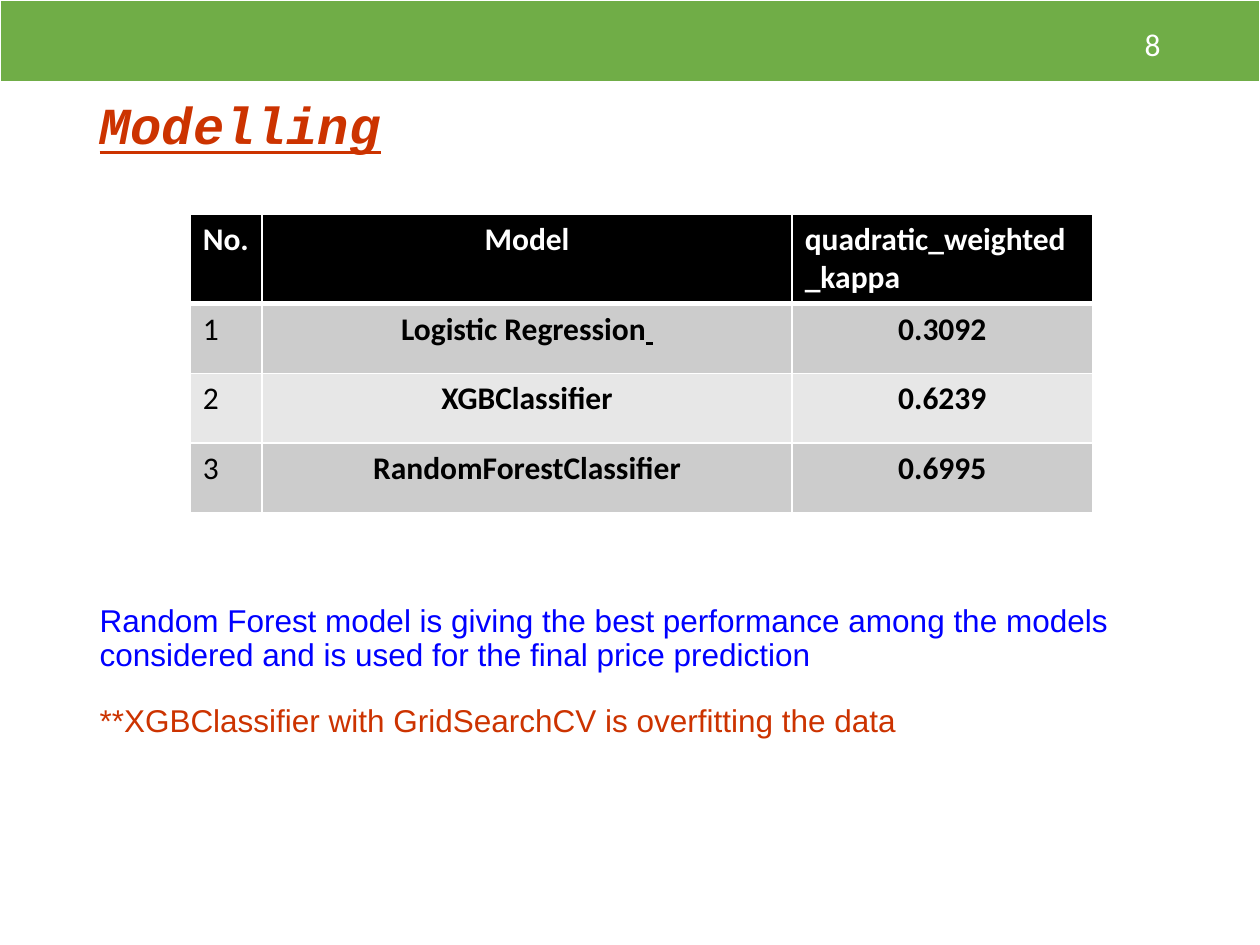
from dataclasses import dataclass

from lxml.etree import SubElement
from pptx import Presentation
from pptx.dml.color import RGBColor
from pptx.enum.shapes import MSO_SHAPE
from pptx.enum.text import MSO_ANCHOR, MSO_AUTO_SIZE, PP_ALIGN
from pptx.oxml.ns import qn
from pptx.util import Pt

COLORS = {
    "band": "70AD47",
    "white": "FFFFFF",
    "black": "000000",
    "accent": "CC3300",
    "finding": "0000FF",
    "odd_row": "CCCCCC",
    "even_row": "E7E7E7",
}


@dataclass(frozen=True)
class Style:
    font: str
    size: float
    color: str
    bold: bool = False
    italic: bool = False
    underline: bool = False


@dataclass(frozen=True)
class Model:
    name: str
    kappa: str
    tail: str = ""  # underlined ending of the name


HEADING = Style("Courier New", 29.7, "accent", True, True, True)
FINDING = Style("Arial", 18, "finding")
CAVEAT = Style("Arial", 18, "accent")
HEADER = Style("Calibri", 18, "white", bold=True)
NUMBER = Style("Calibri", 18, "black")
VALUE = Style("Calibri", 18, "black", bold=True)
VALUE_TAIL = Style("Calibri", 18, "black", bold=True, underline=True)
PAGE = Style("Calibri", 18, "white")

COLUMN_LABELS = ("No.", "Model", "quadratic_weighted_kappa")
COLUMN_WIDTHS = (41, 303, 171.5)
COLUMN_ALIGNS = (PP_ALIGN.LEFT, PP_ALIGN.CENTER, PP_ALIGN.CENTER)
HEADER_ALIGNS = (PP_ALIGN.LEFT, PP_ALIGN.CENTER, PP_ALIGN.LEFT)
HEADER_HEIGHT, ROW_HEIGHT = 44, 39.8
THIN, THICK = 1, 3

MODELS = (
    Model("Logistic Regression", "0.3092", " "),
    Model("XGBClassifier", "0.6239"),
    Model("RandomForestClassifier", "0.6995"),
)
REMARKS = (
    ("Random Forest model is giving the best performance among the models "
     "considered and is used for the final price prediction", FINDING, 0),
    ("**XGBClassifier with GridSearchCV is overfitting the data", CAVEAT, 18.6),
)


def rgb(name: str) -> RGBColor:
    return RGBColor.from_string(COLORS[name])


def add_run(paragraph, text: str, style: Style) -> None:
    run = paragraph.add_run()
    run.text = text
    font = run.font
    font.name, font.size = style.font, Pt(style.size)
    font.bold, font.italic, font.underline = style.bold, style.italic, style.underline
    font.color.rgb = rgb(style.color)


def place(shape, left: float, top: float, width: float, height: float,
          anchor=MSO_ANCHOR.TOP):
    """Move a text shape and return its wrapped, fixed-size text frame."""
    shape.left, shape.top = Pt(left), Pt(top)
    shape.width, shape.height = Pt(width), Pt(height)
    frame = shape.text_frame
    frame.word_wrap = True
    frame.auto_size = MSO_AUTO_SIZE.NONE
    frame.vertical_anchor = anchor
    return frame


def set_borders(cell, top: float, bottom: float) -> None:
    properties = cell._tc.get_or_add_tcPr()
    for side, width in (("L", THIN), ("R", THIN), ("T", top), ("B", bottom)):
        line = SubElement(properties, qn(f"a:ln{side}"), w=str(Pt(width)))
        fill = SubElement(line, qn("a:solidFill"))
        SubElement(fill, qn("a:srgbClr"), val=COLORS["white"])


def fill_cell(cell, runs: list[tuple[str, Style]], align, fill: str,
              top: float, bottom: float) -> None:
    set_borders(cell, top, bottom)
    cell.fill.solid()
    cell.fill.fore_color.rgb = rgb(fill)
    paragraph = cell.text_frame.paragraphs[0]
    paragraph.alignment = align
    for text, style in runs:
        add_run(paragraph, text, style)


def add_model_table(slide, left: float, top: float) -> None:
    height = HEADER_HEIGHT + ROW_HEIGHT * len(MODELS)
    table = slide.shapes.add_table(
        len(MODELS) + 1, len(COLUMN_LABELS), Pt(left), Pt(top),
        Pt(sum(COLUMN_WIDTHS)), Pt(height)).table
    for column, width in zip(table.columns, COLUMN_WIDTHS):
        column.width = Pt(width)
    for index, row in enumerate(table.rows):
        row.height = Pt(ROW_HEIGHT if index else HEADER_HEIGHT)

    for cell, label, align in zip(table.rows[0].cells, COLUMN_LABELS, HEADER_ALIGNS):
        fill_cell(cell, [(label, HEADER)], align, "black", THIN, THICK)

    for number, model in enumerate(MODELS, start=1):
        name_runs = [(model.name, VALUE)]
        if model.tail:
            name_runs.append((model.tail, VALUE_TAIL))
        contents = ([(str(number), NUMBER)], name_runs, [(model.kappa, VALUE)])
        fill = "odd_row" if number % 2 else "even_row"
        top_border = THICK if number == 1 else THIN
        for cell, runs, align in zip(table.rows[number].cells, contents, COLUMN_ALIGNS):
            fill_cell(cell, runs, align, fill, top_border, THIN)


def main() -> None:
    presentation = Presentation()
    presentation.slide_width, presentation.slide_height = Pt(720), Pt(540)
    slide = presentation.slides.add_slide(presentation.slide_layouts[1])

    # Top band
    band = slide.shapes.add_shape(MSO_SHAPE.RECTANGLE, 0, 0, Pt(720), Pt(46.8))
    band.shadow.inherit = False
    band.fill.solid()
    band.fill.fore_color.rgb = rgb("band")
    band.line.color.rgb = rgb("white")
    band.line.width = Pt(1.5)

    # Heading
    heading = place(slide.shapes.title, 49.7, 53.3, 620.6, 44).paragraphs[0]
    heading.alignment = PP_ALIGN.LEFT
    heading.line_spacing = 0.9
    add_run(heading, "Modelling", HEADING)

    # Model scores
    add_model_table(slide, 108.7, 122.4)

    # Remarks
    remarks = place(slide.placeholders[1], 49.7, 342, 620.6, 113)
    for index, (text, style, gap) in enumerate(REMARKS):
        remark = remarks.add_paragraph() if index else remarks.paragraphs[0]
        properties = remark._p.get_or_add_pPr()
        properties.set("marL", "0")
        properties.set("indent", "0")
        SubElement(properties, qn("a:buNone"))
        remark.line_spacing = 0.9
        remark.space_before = Pt(gap)
        add_run(remark, text, style)

    # Page number
    page_box = slide.shapes.add_textbox(0, 0, Pt(1), Pt(1))
    page = place(page_box, 508.3, 10.8, 162, 28.8, MSO_ANCHOR.MIDDLE).paragraphs[0]
    page.alignment = PP_ALIGN.RIGHT
    add_run(page, "8", PAGE)

    presentation.save("out.pptx")


if __name__ == "__main__":
    main()
